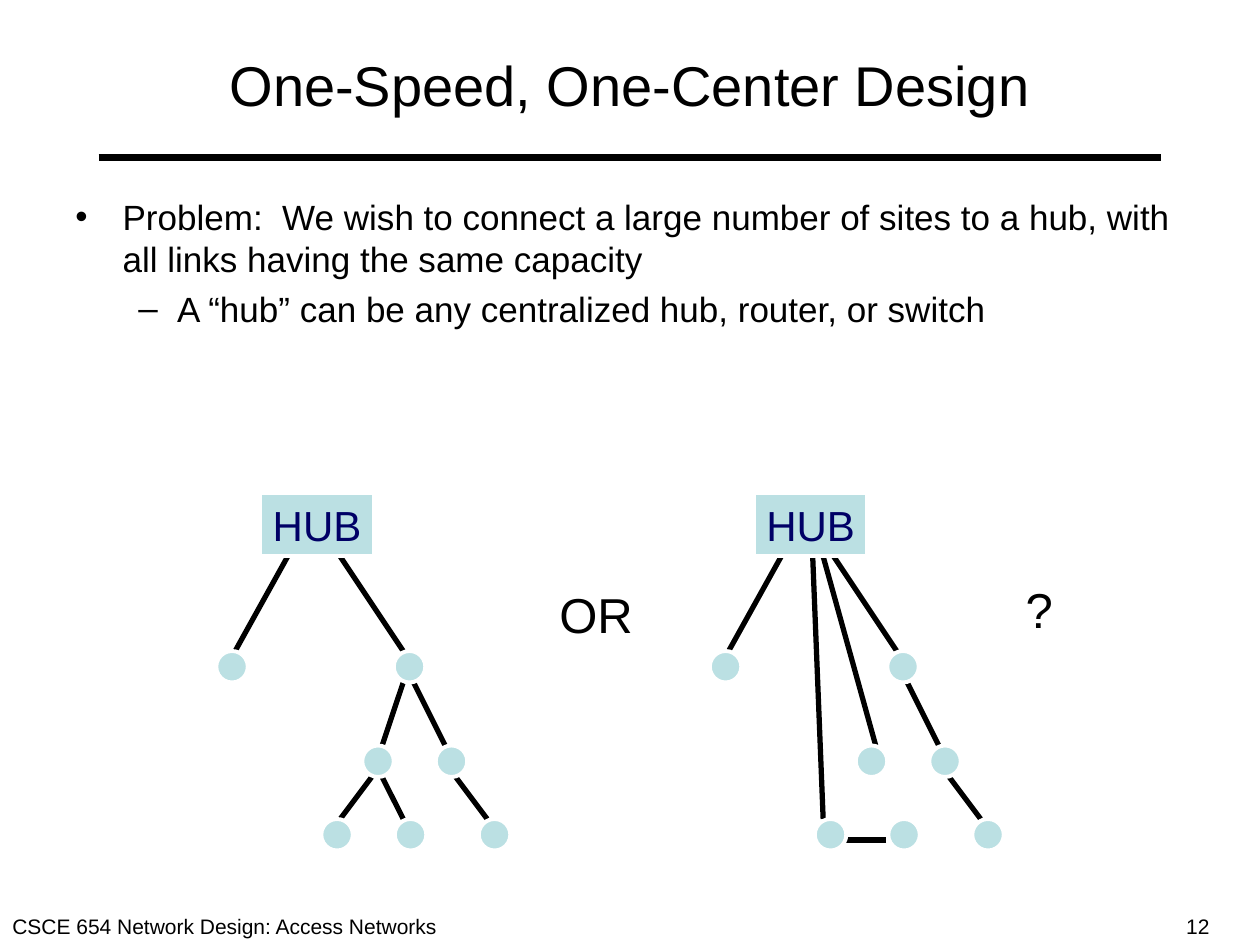
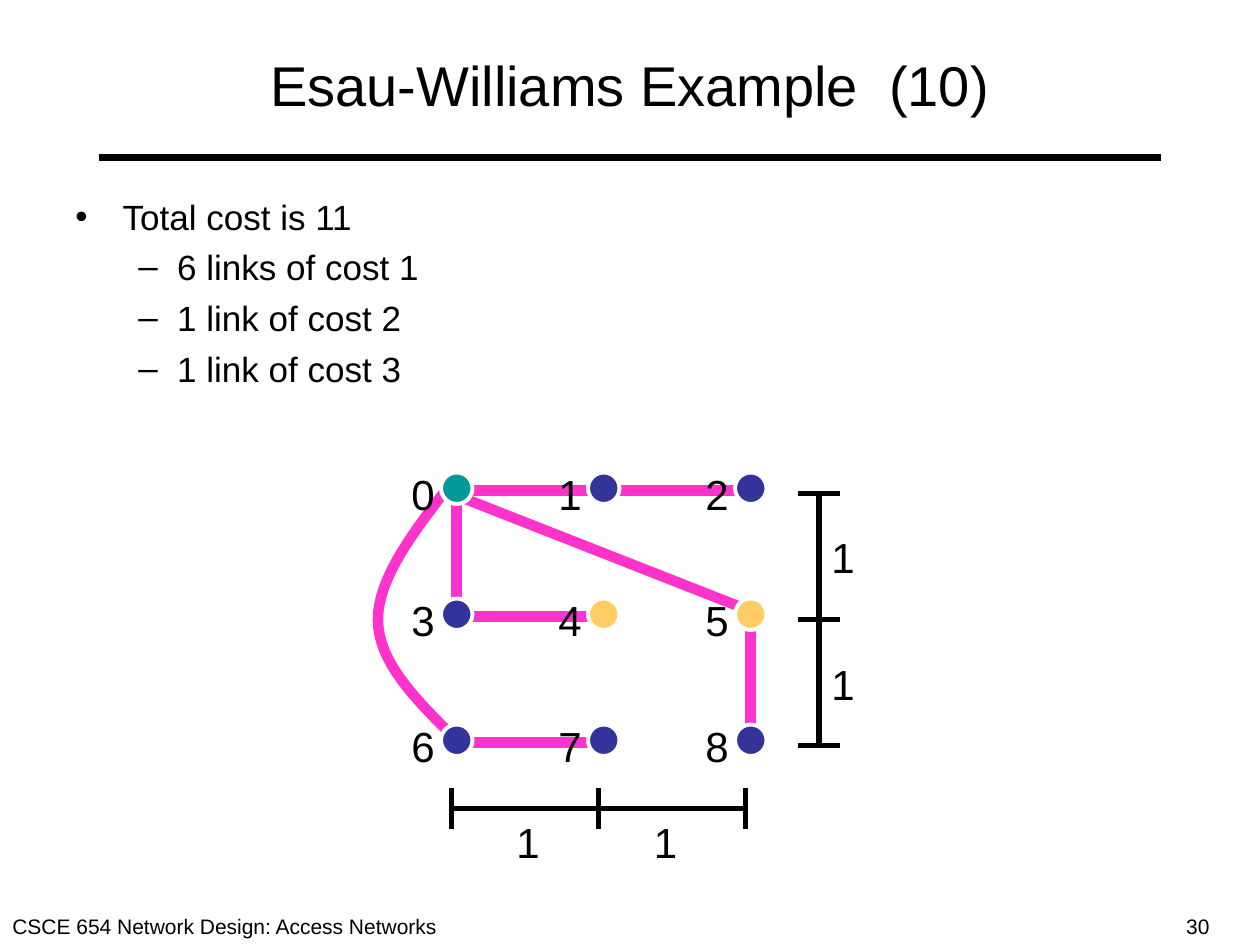
from lxml.etree import SubElement
from pptx import Presentation
from pptx.dml.color import RGBColor
from pptx.enum.shapes import MSO_CONNECTOR, MSO_SHAPE
from pptx.enum.text import MSO_ANCHOR, MSO_AUTO_SIZE, PP_ALIGN
from pptx.oxml.ns import qn
from pptx.util import Pt

PX = 7620  # EMU per px, 120 px to the inch
FONT = "Arial"
COLORS = {
    "black": "000000", "white": "FFFFFF", "site": "BBE0E3", "hub text": "000066",
    "link": "FF33CC", "center": "009999", "node": "333399", "marked": "FFCC66",
}


def add_line(slide, start, end, color="black", width=3):
    line = slide.shapes.add_connector(
        MSO_CONNECTOR.STRAIGHT, *(value * PX for value in (*start, *end)))
    line.line.color.rgb = RGBColor.from_string(COLORS[color])
    line.line.width = Pt(width)
    SubElement(line._element.spPr, qn("a:effectLst"))


def add_box(slide, x, y, width, height, text="", size=24, color="black",
            kind=None, fill=None):
    """Add a text box, or a white-edged filled shape when a kind is given."""
    place = [value * PX for value in (x, y, width, height)]
    if kind is None:
        shape = slide.shapes.add_textbox(*place)
    else:
        shape = slide.shapes.add_shape(kind, *place)
        shape.shadow.inherit = False
        shape.fill.solid()
        shape.fill.fore_color.rgb = RGBColor.from_string(COLORS[fill])
        shape.line.color.rgb = RGBColor.from_string(COLORS["white"])
        shape.line.width = Pt(2.25)
    if text:
        frame = shape.text_frame
        frame.text = text
        frame.word_wrap = False
        frame.auto_size = MSO_AUTO_SIZE.SHAPE_TO_FIT_TEXT
        frame.vertical_anchor = MSO_ANCHOR.TOP
        for paragraph in frame.paragraphs:
            paragraph.alignment = PP_ALIGN.LEFT
            font = paragraph.runs[0].font
            font.name, font.size = FONT, Pt(size)
            font.color.rgb = RGBColor.from_string(COLORS[color])
    return shape


presentation = Presentation()
presentation.slide_width, presentation.slide_height = 1200 * PX, 900 * PX

# Title, rule, footer and bullets of both slides
pages = [
    ("One-Speed, One-Center Design", "12",
     ["Problem:  We wish to connect a large number of sites to a hub, "
      "with all links having the same capacity",
      "A “hub” can be any centralized hub, router, or switch"]),
    ("Esau-Williams Example  (10)", "30",
     ["Total cost is 11", "6 links of cost 1", "1 link of cost 2", "1 link of cost 3"]),
]
# Bullet, left margin and hanging indent of each level
levels = [("•", 45, -45), ("–", 97, -37)]
for heading, number, points in pages:
    slide = presentation.slides.add_slide(presentation.slide_layouts[5])
    add_line(slide, (94, 150), (1106, 150), width=4.5)
    add_box(slide, 0, 864, 430, 36, "CSCE 654 Network Design: Access Networks", 12)
    page_number = add_box(slide, 1118, 864, 82, 36, number, 12)
    page_number.text_frame.word_wrap = True

    title = slide.shapes.title
    title.left, title.top, title.width, title.height = 60 * PX, 20 * PX, 1080 * PX, 120 * PX
    title.text_frame.text = heading
    title.text_frame.vertical_anchor = MSO_ANCHOR.MIDDLE
    title.text_frame.paragraphs[0].alignment = PP_ALIGN.CENTER
    title_font = title.text_frame.paragraphs[0].runs[0].font
    title_font.name, title_font.size = FONT, Pt(32)
    title_font.color.rgb = RGBColor.from_string(COLORS["black"])

    body = add_box(slide, 60, 180, 1080, 624, "\n".join(points), 20)
    body.text_frame.word_wrap = True
    body.text_frame.auto_size = MSO_AUTO_SIZE.NONE
    for index, paragraph in enumerate(body.text_frame.paragraphs):
        paragraph.level = min(index, 1)
        paragraph.space_before = Pt(5 if index else 0)
        bullet, margin, indent = levels[paragraph.level]
        properties = paragraph._p.get_or_add_pPr()
        properties.set("marL", str(margin * PX))
        properties.set("indent", str(indent * PX))
        bullet_color = SubElement(properties, qn("a:buClr"))
        SubElement(bullet_color, qn("a:srgbClr"), val=COLORS["black"])
        SubElement(properties, qn("a:buFont"), typeface=FONT)
        SubElement(properties, qn("a:buChar"), char=bullet)

design, example = presentation.slides

# Two trees with the same sites, joined by different links
sites = [(206, 620), (456, 780), (376, 780), (306, 780), (415, 710), (345, 710), (375, 620)]
shared_links = [((224, 620), (274, 530)), ((384, 620), (324, 530)),
                ((424, 710), (394, 650)), ((464, 780), (434, 740))]
tree_links = [((364, 710), (384, 650)), ((324, 780), (354, 740)), ((384, 780), (364, 740))]
direct_links = [((364, 710), (314, 530)), ((374, 800), (334, 800)), ((314, 780), (304, 530))]
for shift, own_links in [(0, tree_links), (470, direct_links)]:
    for (x1, y1), (x2, y2) in shared_links + own_links:
        add_line(design, (x1 + shift, y1), (x2 + shift, y2))
    hub = add_box(design, 248 + shift, 470, 108, 60, "HUB", 24, "hub text",
                  MSO_SHAPE.RECTANGLE, "site")
    hub.text_frame.margin_right = 0  # room for the label on one line
    hub.text_frame.auto_size = MSO_AUTO_SIZE.NONE
    for x, y in sites:
        add_box(design, x + shift, y, 30, 30, kind=MSO_SHAPE.OVAL, fill="site")
add_box(design, 521, 551, 94, 68, "OR", 28)
add_box(design, 965, 546, 49, 68, "?", 28)

# Links of the example, below its 3 by 3 grid of nodes
columns, rows = (420, 560, 700), (450, 570, 690)
add_line(example, (430, 470), (710, 580), "link", 6)
curve_points = []
for curve in [((430, 700), (395, 665), (360, 630), (360, 590)),
              ((360, 590), (360, 550), (395, 505), (430, 460))]:
    for step in range(17):
        t = step / 16
        weights = ((1 - t) ** 3, 3 * t * (1 - t) ** 2, 3 * t ** 2 * (1 - t), t ** 3)
        curve_points.append(tuple(
            round(PX * sum(weight * point[axis] for weight, point in zip(weights, curve)))
            for axis in (0, 1)))
builder = example.shapes.build_freeform(*curve_points[0])
builder.add_line_segments(curve_points[1:], close=False)
arc = builder.convert_to_shape()
arc.shadow.inherit = False
arc.fill.background()
arc.line.color.rgb = RGBColor.from_string(COLORS["link"])
arc.line.width = Pt(6)

for column, row in [(0, 0), (1, 0), (0, 1), (0, 2)]:
    x, y = columns[column] + 14, rows[row] + 17
    add_line(example, (x, y), (x + 140, y), "link", 6)
for column, row in [(0, 0), (2, 1)]:
    x, y = columns[column] + 15, rows[row] + 20
    add_line(example, (x, y), (x, y + 111), "link", 6)

node_fills = {0: "center", 4: "marked", 5: "marked"}
for node in range(9):
    x, y = columns[node % 3], rows[node // 3]
    add_box(example, x, y, 30, 30, kind=MSO_SHAPE.OVAL, fill=node_fills.get(node, "node"))
for node in range(9):
    add_box(example, columns[node % 3] - 40, rows[node // 3] - 10, 46, 60, str(node))

# Scales to the right of the grid and below it
add_line(example, (780, 470), (780, 710))
add_line(example, (430, 770), (710, 770))
for column, row in zip(columns, rows):
    add_line(example, (760, row + 20), (800, row + 20))
    add_line(example, (column + 10, 790), (column + 10, 750))
for x, y in [(780, 500), (780, 621), (480, 772), (611, 772)]:
    add_box(example, x, y, 46, 60, "1")

presentation.save("out.pptx")
